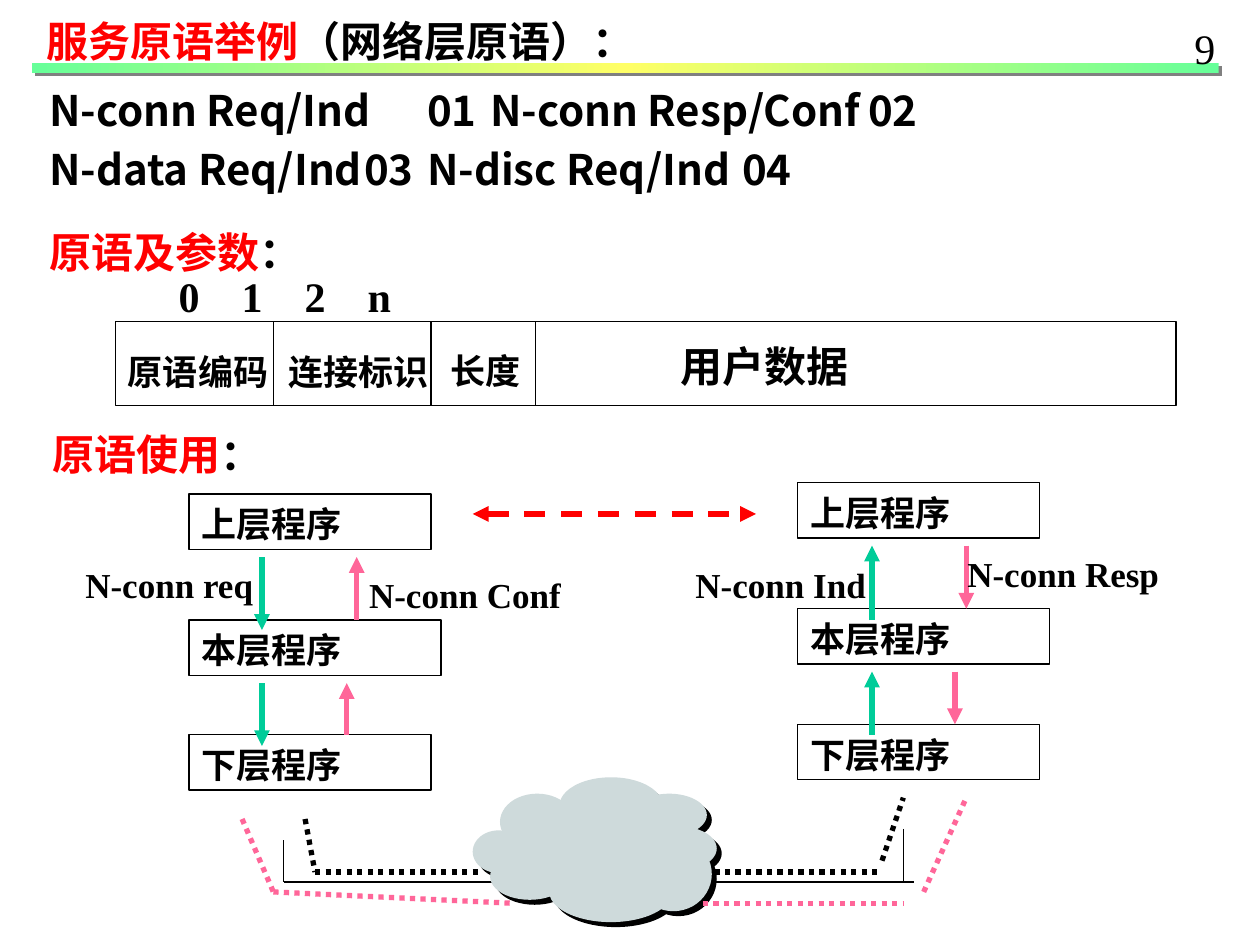
from typing import NamedTuple

from lxml.etree import SubElement
from pptx import Presentation
from pptx.dml.color import RGBColor
from pptx.enum.dml import MSO_LINE
from pptx.enum.shapes import MSO_CONNECTOR, MSO_SHAPE
from pptx.enum.text import MSO_ANCHOR, MSO_AUTO_SIZE, PP_ALIGN
from pptx.oxml.ns import qn
from pptx.util import Cm, Pt

BLACK = RGBColor(0x00, 0x00, 0x00)
RED = RGBColor(0xFF, 0x00, 0x00)
PINK = RGBColor(0xFF, 0x66, 0x99)
TEAL = RGBColor(0x00, 0xCC, 0x99)
CLOUD = RGBColor(0xCE, 0xDA, 0xDB)
MINT = RGBColor(0x66, 0xFF, 0x99)
YELLOW = RGBColor(0xFF, 0xFF, 0x66)
SANS = "Noto Sans CJK SC"
SERIF = "Times New Roman"
CJK_INSET, LATIN_INSET = 0.18, 0.13


class Box(NamedTuple):
    x: float
    y: float
    w: float
    h: float


class Text(NamedTuple):
    box: Box
    runs: tuple
    size: int = 20
    font: str = SERIF
    bold: bool = True
    inset: float = CJK_INSET
    tabs: tuple = ()


class Line(NamedTuple):
    x1: float
    y1: float
    x2: float
    y2: float
    color: RGBColor = BLACK
    width: float = 3
    dash: MSO_LINE | None = None
    ends: tuple = ()


class Stack(NamedTuple):
    x: float
    tops: tuple
    arrows: tuple
    labels: tuple


LOBES = (
    Box(11.28, 15.67, 2.08, 1.14), Box(10.08, 16, 1.5, 1.14), Box(9.53, 16.74, 1.04, 0.86),
    Box(9.88, 17.2, 1.6, 0.94), Box(11.07, 17.35, 2.49, 1.24), Box(12.73, 16, 1.52, 0.86),
    Box(12.93, 16.66, 1.52, 0.89), Box(12.8, 16.87, 1.55, 1.5), Box(10.44, 16.33, 3.2, 1.5),
)
LAYERS = (("上层程序", 4.88), ("本层程序", 5.08), ("下层程序", 4.88))
STACKS = (
    Stack(3.81, (9.96, 12.5, 14.81),
          ((7.19, 12.5, 11.23, PINK), (5.28, 11.23, 12.7, TEAL),
           (6.99, 14.81, 13.77, PINK), (5.28, 13.77, 15.04, TEAL)),
          (("N-conn req", 1.47, 11.23), ("N-conn Conf", 7.19, 11.43))),
    Stack(16.08, (9.73, 12.27, 14.6),
          ((19.48, 11, 12.27, PINK), (17.58, 12.5, 11, TEAL),
           (19.25, 13.54, 14.6, PINK), (17.58, 14.81, 13.54, TEAL)),
          (("N-conn Ind", 13.77, 11.23), ("N-conn Resp", 19.25, 11))),
)
FRAME = Box(2.33, 6.48, 21.38, 1.69)
DIVIDERS = (5.51, 8.69, 10.8)
TEXTS = (
    Text(Box(2.33, 6.88, 3.6, 1.09), (("原语编码", BLACK),)),
    Text(Box(5.56, 6.88, 3.6, 1.09), (("连接标识", BLACK),)),
    Text(Box(8.84, 6.86, 2.2, 1.09), (("长度", BLACK),)),
    Text(Box(13.46, 6.68, 4.2, 1.27), (("用户数据", BLACK),), 24),
    Text(Box(2.08, 5.33, 21.64, 1.27), (("\t0\t1\t2\tn", BLACK),), 24,
         inset=LATIN_INSET, tabs=(0.64, 4.45, 6.99, 20.5)),
    Text(Box(0.81, 8.46, 5, 1.27), (("原语使用", RED), ("：", BLACK)), 24, SANS),
    Text(Box(23.83, 0.33, 0.95, 1.27), (("9", BLACK),), 24, bold=False, inset=LATIN_INSET),
)
TITLE = Text(Box(0.69, 0.13, 14, 1.27),
             (("服务原语举例", RED), ("（网络层原语）：", BLACK)), 24, SANS)
BODY_BOX = Box(0.74, 1.52, 22.33, 4.22)
BODY = (
    (Text(BODY_BOX, (("N-conn Req/Ind\t01\tN-conn Resp/Conf\t02", BLACK),), 24, SANS,
          tabs=(6.88, 10.39, 18.2)), 0),
    (Text(BODY_BOX, (("N-data Req/Ind\t03\tN-disc Req/Ind\t04", BLACK),), 24, SANS,
          tabs=(6.68, 10.19, 17.04)), 4.8),
    (Text(BODY_BOX, (("原语及参数", RED), ("：", BLACK)), 24, SANS), 18.6),
)
ROUTES = (
    ((6.15, 16.51, 6.35, 17.58), BLACK), ((6.35, 17.58, 9.73, 17.58), BLACK),
    ((14.4, 17.58, 17.78, 17.58), BLACK), ((17.78, 17.35, 18.21, 16.08), BLACK),
    ((18.62, 17.98, 19.48, 16.08), PINK), ((14.17, 18.21, 18.21, 18.21), PINK),
    ((5.51, 17.98, 10.36, 18.21), PINK), ((4.88, 16.51, 5.51, 17.98), PINK),
)
WIRES = ((5.72, 16.94, 5.72, 17.78), (5.72, 17.78, 18.42, 17.78), (18.21, 16.71, 18.21, 17.78))


def set_all(obj, values: dict) -> None:
    """Set each named attribute on an object."""
    for name, value in values.items():
        setattr(obj, name, value)


def write(p, t: Text, before: float = 0) -> None:
    """Fill one paragraph with coloured runs and tab stops."""
    pPr = p._p.get_or_add_pPr()
    set_all(p, {"alignment": PP_ALIGN.LEFT, "line_spacing": Pt(1.2 * t.size),
                "space_before": Pt(before)})
    for name in ("marL", "indent"):
        pPr.set(name, "0")
    SubElement(pPr, qn("a:buNone"))
    if t.tabs:
        tabs = SubElement(pPr, qn("a:tabLst"))
        for pos in t.tabs:
            SubElement(tabs, qn("a:tab"), pos=str(Cm(pos)), algn="l")
    for words, color in t.runs:
        r = p.add_run()
        r.text = words
        set_all(r.font, {"size": Pt(t.size), "bold": t.bold, "name": t.font})
        r.font.color.rgb = color
        SubElement(r._r.get_or_add_rPr(), qn("a:ea"), typeface=SANS)


def set_frame(tf, inset: float) -> None:
    """Give a text frame its insets and fixed size."""
    set_all(tf, {"word_wrap": True, "auto_size": MSO_AUTO_SIZE.NONE,
                 "vertical_anchor": MSO_ANCHOR.TOP, "margin_left": Cm(0.25),
                 "margin_right": Cm(0.25), "margin_top": Cm(inset), "margin_bottom": Cm(0)})


def place(sp, box: Box) -> None:
    """Move and size a shape."""
    set_all(sp, dict(zip(("left", "top", "width", "height"), map(Cm, box))))


def add_text(s, t: Text) -> None:
    """Add a text box."""
    tf = s.shapes.add_textbox(*map(Cm, t.box)).text_frame
    set_frame(tf, t.inset)
    write(tf.paragraphs[0], t)


def add_shape(s, kind: MSO_SHAPE, box: Box, fill: RGBColor | None = None):
    """Add a filled shape without outline, or an outlined one without fill."""
    sp = s.shapes.add_shape(kind, *map(Cm, box))
    sp.shadow.inherit = False
    if fill is None:
        sp.fill.background()
        sp.line.color.rgb = BLACK
        sp.line.width = Pt(0.75)
    else:
        sp.fill.solid()
        sp.fill.fore_color.rgb = fill
        sp.line.fill.background()
    return sp


def add_line(s, ln: Line) -> None:
    """Add a straight connector with optional dash and arrowheads."""
    c = s.shapes.add_connector(MSO_CONNECTOR.STRAIGHT, *map(Cm, ln[:4]))
    c.line.color.rgb = ln.color
    set_all(c.line, {"width": Pt(ln.width), "dash_style": ln.dash})
    for end in ln.ends:
        SubElement(c.line._get_or_add_ln(), qn(f"a:{end}"), type="triangle")
    SubElement(c._element.spPr, qn("a:effectLst"))


def add_bar(s) -> None:
    """Add the gradient rule with its grey shadow."""
    sp = add_shape(s, MSO_SHAPE.RECTANGLE, Box(0.64, 1.27, 23.93, 0.2), MINT)
    sp.fill.gradient()
    sp.fill.gradient_angle = 0
    spPr = sp._element.spPr
    stops = spPr.find(qn("a:gradFill")).find(qn("a:gsLst"))
    for gs in list(stops):
        stops.remove(gs)
    for pos, color in ((0, MINT), (50000, YELLOW), (100000, MINT)):
        gs = SubElement(stops, qn("a:gs"), pos=str(pos))
        SubElement(gs, qn("a:srgbClr"), val=str(color))
    shadow = SubElement(spPr.find(qn("a:effectLst")), qn("a:outerShdw"),
                        dist=str(Pt(2.8)), dir="2700000")
    SubElement(shadow, qn("a:srgbClr"), val="808080")


def add_stack(s, stack: Stack) -> None:
    """Add one host: three layers, the arrows between them and their labels."""
    for (name, w), top in zip(LAYERS, stack.tops):
        box = Box(stack.x, top, w, 1.12)
        tf = add_shape(s, MSO_SHAPE.RECTANGLE, box).text_frame
        set_frame(tf, CJK_INSET)
        write(tf.paragraphs[0], Text(box, ((name, BLACK),)))
    for x, y1, y2, color in stack.arrows:
        add_line(s, Line(x, y1, x, y2, color, ends=("tailEnd",)))
    for name, x, y in stack.labels:
        add_text(s, Text(Box(x, y, 4.6, 1.09), ((name, BLACK),), inset=LATIN_INSET))


def main() -> None:
    """Build the service primitive slide."""
    prs = Presentation()
    set_all(prs, {"slide_width": Cm(25.4), "slide_height": Cm(19.05)})
    s = prs.slides.add_slide(prs.slide_layouts[1])
    title, body = s.shapes.title, s.placeholders[1]
    for sp, box in ((title, TITLE.box), (body, BODY_BOX)):
        place(sp, box)
        set_frame(sp.text_frame, CJK_INSET)
    write(title.text_frame.paragraphs[0], TITLE)
    tf = body.text_frame
    for i, (t, before) in enumerate(BODY):
        write(tf.add_paragraph() if i else tf.paragraphs[0], t, before)
    add_bar(s)
    add_shape(s, MSO_SHAPE.RECTANGLE, FRAME)
    for x in DIVIDERS:
        add_line(s, Line(x, FRAME.y, x, FRAME.y + FRAME.h, width=0.75))
    for t in TEXTS:
        add_text(s, t)
    for stack in STACKS:
        add_stack(s, stack)
    for wire in WIRES:
        add_line(s, Line(*wire, width=0.75))
    for shift, color in ((0.1, BLACK), (0, CLOUD)):
        for lobe in LOBES:
            box = lobe._replace(x=lobe.x + shift, y=lobe.y + shift)
            add_shape(s, MSO_SHAPE.OVAL, box, color)
    for route, color in ROUTES:
        add_line(s, Line(*route, color, dash=MSO_LINE.ROUND_DOT))
    add_line(s, Line(9.53, 10.36, 15.24, 10.36, RED, dash=MSO_LINE.DASH,
                     ends=("headEnd", "tailEnd")))
    prs.save("out.pptx")


if __name__ == "__main__":
    main()
